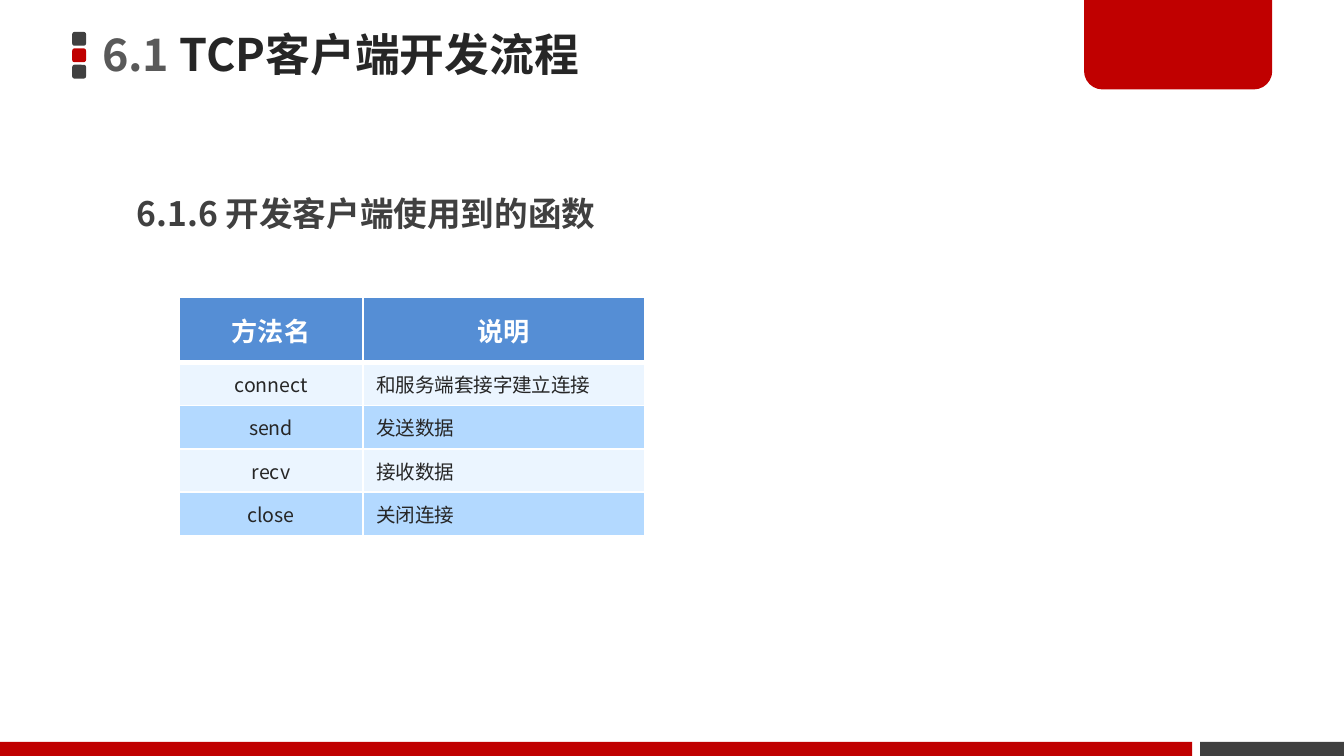
from lxml.etree import SubElement
from pptx import Presentation
from pptx.dml.color import RGBColor
from pptx.enum.shapes import MSO_SHAPE
from pptx.enum.text import MSO_ANCHOR, MSO_AUTO_SIZE, PP_ALIGN
from pptx.oxml import parse_xml
from pptx.oxml.ns import nsdecls, qn
from pptx.util import Pt

FONT = "Noto Sans CJK SC"
RED, GRAY, INK, WHITE = "C00000", "404040", "262626", "FFFFFF"
HEADER_FILL, BANDS = "558ED5", ("EBF5FF", "B3D9FF")

TITLE = [("6.1 ", "595959"), ("TCP客户端开发流程", INK)]
SUBTITLE = [("6.1.6 开发客户端使用到的函数", GRAY)]
HEADER = ("方法名", "说明")
METHODS = [
    ("connect", "和服务端套接字建立连接"),
    ("send", "发送数据"),
    ("recv", "接收数据"),
    ("close", "关闭连接"),
]

SLIDE_W, SLIDE_H = 720, 405
TABLE_X, TABLE_Y = 96, 159.3
COLUMNS = (98.4, 150.9)
HEADER_H, ROW_H = 34.8, 23.2
BAR_Y, BAR_H = 397.5, 7.5


def color(value):
    return RGBColor.from_string(value)


def write(tf, runs, size, bold=False, align=PP_ALIGN.LEFT, spacing=None):
    p = tf.paragraphs[0]
    p.alignment = align
    if spacing:
        p.line_spacing = spacing
    for text, ink in runs:
        r = p.add_run()
        r.text = text
        r.font.size, r.font.bold, r.font.name = Pt(size), bold, FONT
        r.font.color.rgb = color(ink)
        SubElement(r.font._element, qn("a:ea"), typeface=FONT)


def add_block(s, kind, x, y, w, h, fill, adjustments=()):
    sp = s.shapes.add_shape(kind, Pt(x), Pt(y), Pt(w), Pt(h))
    sp.shadow.inherit = False
    sp.fill.solid()
    sp.fill.fore_color.rgb = color(fill)
    sp.line.fill.background()
    for i, value in enumerate(adjustments):
        sp.adjustments[i] = value


def add_textbox(s, x, y, w, h):
    sp = s.shapes.add_textbox(Pt(x), Pt(y), Pt(w), Pt(h))
    sp.text_frame.word_wrap = True
    return sp.text_frame


def set_borders(cell, top=1, bottom=1):
    tc_pr = cell._tc.get_or_add_tcPr()
    widths = {"lnL": 1, "lnR": 1, "lnT": top, "lnB": bottom}
    for i, (side, width) in enumerate(widths.items()):
        tc_pr.insert(i, parse_xml(
            f'<a:{side} {nsdecls("a")} w="{Pt(width)}"><a:solidFill>'
            f'<a:srgbClr val="{WHITE}"/></a:solidFill></a:{side}>'))


def add_table(s, y, rows, first_band=0, header=None):
    all_rows = ([header] if header else []) + rows
    heights = ([HEADER_H] if header else []) + [ROW_H] * len(rows)
    table = s.shapes.add_table(len(all_rows), len(COLUMNS), Pt(TABLE_X), Pt(y),
                               Pt(sum(COLUMNS)), Pt(sum(heights))).table
    for column, width in zip(table.columns, COLUMNS):
        column.width = Pt(width)
    for i, (texts, height) in enumerate(zip(all_rows, heights)):
        table.rows[i].height = Pt(height)
        is_header = texts is header
        band = BANDS[(i - bool(header) + first_band) % 2]
        for j, text in enumerate(texts):
            cell = table.cell(i, j)
            cell.fill.solid()
            cell.fill.fore_color.rgb = color(HEADER_FILL if is_header else band)
            set_borders(cell, top=3 if header and i == 1 else 1,
                        bottom=3 if is_header else 1)
            if is_header:
                write(cell.text_frame, [(text, WHITE)], size=14, bold=True,
                      align=PP_ALIGN.CENTER, spacing=Pt(24))
            else:
                cell.vertical_anchor = MSO_ANCHOR.MIDDLE
                write(cell.text_frame, [(text, INK)], size=10.5,
                      align=PP_ALIGN.LEFT if j else PP_ALIGN.CENTER)
    return y + sum(heights)


prs = Presentation()
prs.slide_width, prs.slide_height = Pt(SLIDE_W), Pt(SLIDE_H)
s = prs.slides.add_slide(prs.slide_layouts[6])

for i, fill in enumerate((GRAY, RED, GRAY)):
    add_block(s, MSO_SHAPE.ROUNDED_RECTANGLE, 38.7, 17.1 + 8.8 * i, 7.4, 7.4, fill, [0.167])
add_block(s, MSO_SHAPE.RECTANGLE, 643, BAR_Y, SLIDE_W - 643, BAR_H, GRAY)
add_block(s, MSO_SHAPE.ROUND_2_SAME_RECTANGLE, 580.8, -1.4, 100.8, 49.3, RED, [0, 0.2])
add_block(s, MSO_SHAPE.RECTANGLE, 0, BAR_Y, 638.7, BAR_H, RED)

tf = add_textbox(s, 66.2, 89.3, 276.5, 36)
tf.auto_size = MSO_AUTO_SIZE.SHAPE_TO_FIT_TEXT
write(tf, SUBTITLE, size=18, bold=True, spacing=1.5)

bottom = add_table(s, TABLE_Y, METHODS[:3], header=HEADER)
add_table(s, bottom, METHODS[3:], first_band=1)

tf = add_textbox(s, 49.7, -1.4, 424, 64)
tf.vertical_anchor = MSO_ANCHOR.MIDDLE
tf.margin_left = tf.margin_right = Pt(5)
tf.margin_top = tf.margin_bottom = Pt(2.9)
write(tf, TITLE, size=24, bold=True, spacing=0.9)

prs.save("out.pptx")
